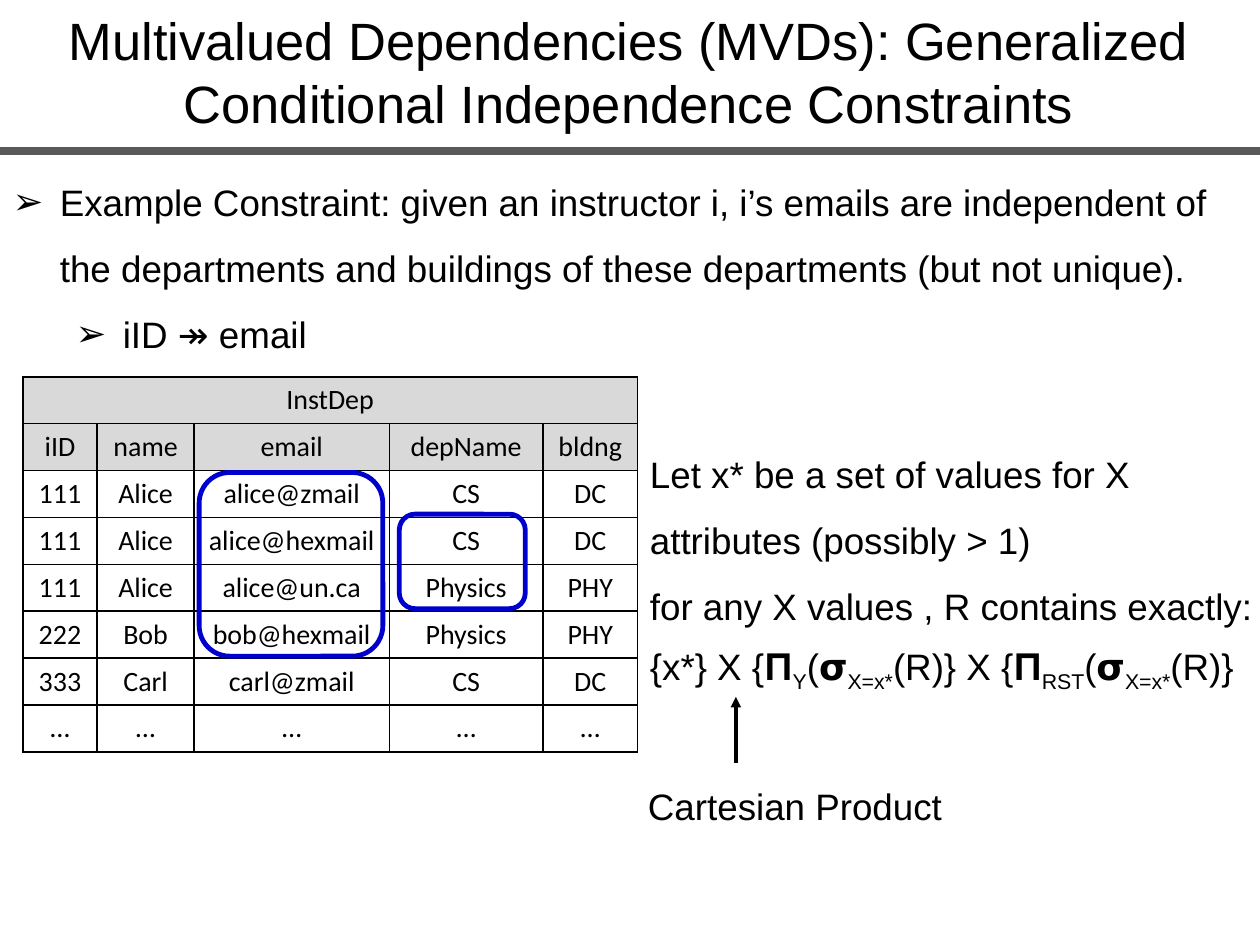
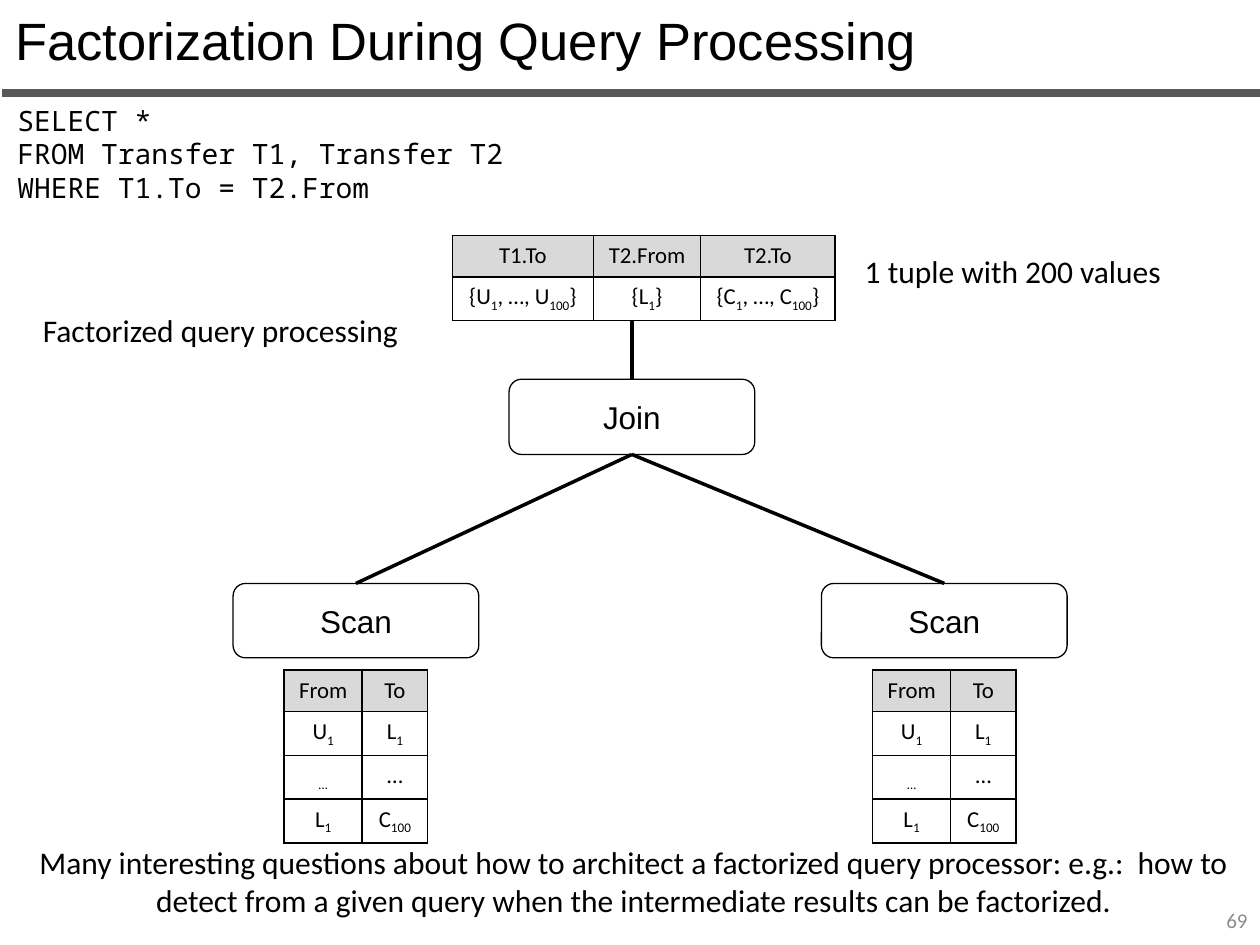
import pptx
import pptx.dml.color
import pptx.enum.shapes
import pptx.enum.text
import pptx.oxml.ns
import pptx.util
from lxml import etree

Pt = pptx.util.Pt
qn = pptx.oxml.ns.qn
ALIGN = pptx.enum.text.PP_ALIGN
ANCHOR = pptx.enum.text.MSO_ANCHOR
FIT = pptx.enum.text.MSO_AUTO_SIZE
ROUND = pptx.enum.shapes.MSO_SHAPE.ROUNDED_RECTANGLE
STRAIGHT = pptx.enum.shapes.MSO_CONNECTOR.STRAIGHT

BLACK, GREY, BAND, BLUE, PALE = "000000", "D9D9D9", "595959", "0000CC", "8C8C8C"
MID = {"alignment": ALIGN.CENTER}
LEFT = {"alignment": ALIGN.LEFT}
TIGHT = {"space_before": Pt(0)}
OPEN = {"line_spacing": Pt(37.8), **TIGHT}
HEAD = {"line_spacing": Pt(36), **TIGHT}
CODE = {"line_spacing": Pt(19.2)}
TITLE = {"name": "Arial", "size": Pt(30)}
BODY = {"name": "Arial", "size": Pt(21)}
LABEL = {"name": "Arial", "size": Pt(18)}
NOTE = {"name": "Calibri", "size": Pt(18)}
GRID = {"name": "Calibri", "size": Pt(16)}
SMALL = {"name": "Calibri", "size": Pt(13)}
MONO = {"name": "Noto Sans Mono", "size": Pt(16)}
PAGE = {"name": "Calibri", "size": Pt(12)}

RULES = [
    "Example Constraint: given an instructor i, i’s emails are independent of "
    "the departments and buildings of these departments (but not unique).",
    "iID ↠ email",
]
DEPS = [
    ["InstDep", "", "", "", ""],
    ["iID", "name", "email", "depName", "bldng"],
    ["111", "Alice", "alice@zmail", "CS", "DC"],
    ["111", "Alice", "alice@hexmail", "CS", "DC"],
    ["111", "Alice", "alice@un.ca", "Physics", "PHY"],
    ["222", "Bob", "bob@hexmail", "Physics", "PHY"],
    ["333", "Carl", "carl@zmail", "CS", "DC"],
    ["…"] * 5,
]
PROOF = [
    "Let x* be a set of values for X attributes (possibly > 1)",
    "for any X values , R contains exactly: "
    "{x*} X {𝚷~Y~(𝞂~X=x*~(R)} X {𝚷~RST~(𝞂~X=x*~(R)}",
]
RINGS = [(113.8, 270, 105, 105), (228.2, 293.8, 72, 54)]
QUERY = ["SELECT *", "FROM Transfer T1, Transfer T2", "WHERE T1.To = T2.From"]
TUPLE = [
    ["T1.To", "T2.From", "T2.To"],
    ["{U~1~, …, U~100~}", "{L~1~}", "{C~1~, …, C~100~}"],
]
SCAN = [["From", "To"], ["U~1~", "L~1~"], ["~…~", "…"], ["L~1~", "C~100~"]]
NOTES = [
    ("Factorized query processing", (3.6, 174.2, 244.8, 28.8)),
    ("1 tuple with 200 values", (469.4, 140.4, 218.9, 28.8)),
    ("Many interesting questions about how to architect a factorized query "
     "processor: e.g.:  how to detect from a given query when the intermediate "
     "results can be factorized.", (10.1, 478.1, 704.2, 51.1)),
]
JOIN = (290.9, 216.7, 140.4, 43)
SCANS = [(133.2, 333.4, 140.4, 42.5), (469.4, 333.4, 140.4, 42.5)]


def tint(text):
    return pptx.dml.color.RGBColor.from_string(text)


def apply(thing, *looks):
    for look in looks:
        for key, value in look.items():
            setattr(thing, key, value)


def write(frame, lines, font, para, color=BLACK):
    """Fill a frame with lines, where ~ marks start and end a subscript."""
    frame.word_wrap = True
    for i, line in enumerate(lines):
        par = frame.add_paragraph() if i else frame.paragraphs[0]
        apply(par, para)
        for j, part in enumerate(line.split("~")):
            if not part:
                continue
            run = par.add_run()
            run.text = part
            apply(run.font, font)
            run.font.color.rgb = tint(color)
            if j % 2:
                run.font._element.set("baseline", "-25000")


def place(shape, box):
    sides = ("left", "top", "width", "height")
    apply(shape, dict(zip(sides, map(Pt, box))))


def label(slide, box, lines, font, para, color=BLACK):
    frame = slide.shapes.add_textbox(*map(Pt, box)).text_frame
    write(frame, lines, font, para, color)
    return frame


def head(slide, text, box, para, rule):
    title = slide.shapes.title
    place(title, box)
    apply(title.text_frame, {"vertical_anchor": ANCHOR.TOP,
                             "auto_size": FIT.NONE, "margin_top": Pt(4.7)})
    write(title.text_frame, [text], TITLE, {**HEAD, **para})
    x, y = rule
    link(slide, (x, y), (x + 720, y), BAND, 4.5)


def link(slide, start, end, color=BLACK, width=2, arrow=False):
    line = slide.shapes.add_connector(STRAIGHT, *map(Pt, start + end))
    line.line.color.rgb = tint(color)
    line.line.width = Pt(width)
    props = line._element.spPr
    if arrow:
        etree.SubElement(props.find(qn("a:ln")), qn("a:tailEnd"), type="triangle")
    etree.SubElement(props, qn("a:effectLst"))


def ring(slide, box, color, width):
    shape = slide.shapes.add_shape(ROUND, *map(Pt, box))
    shape.shadow.inherit = False
    shape.fill.background()
    shape.line.color.rgb = tint(color)
    shape.line.width = Pt(width)
    return shape


def node(slide, box, text):
    frame = ring(slide, box, BLACK, 0.75).text_frame
    frame.vertical_anchor = ANCHOR.MIDDLE
    write(frame, [text], LABEL, MID)


def edge(cell):
    props = cell._tc.get_or_add_tcPr()
    for side in ("a:lnL", "a:lnR", "a:lnT", "a:lnB"):
        line = etree.SubElement(props, qn(side), w=str(Pt(1)))
        fill = etree.SubElement(line, qn("a:solidFill"))
        etree.SubElement(fill, qn("a:srgbClr"), val=BLACK)


def grid(slide, spot, rows, cols, high, font, top=1):
    box = (*spot, sum(cols), high * len(rows))
    table = slide.shapes.add_table(len(rows), len(cols), *map(Pt, box)).table
    apply(table, {"first_row": False, "horz_banding": False})
    for col, wide in zip(table.columns, cols):
        col.width = Pt(wide)
    for r, row in enumerate(rows):
        table.rows[r].height = Pt(high)
        for c, text in enumerate(row):
            cell = table.cell(r, c)
            edge(cell)
            if r < top:
                cell.fill.solid()
                cell.fill.fore_color.rgb = tint(GREY)
            else:
                cell.fill.background()
            write(cell.text_frame, [text], font, MID)
    return table


def bullet(par, left):
    props = par._p.get_or_add_pPr()
    props.set("marL", str(Pt(left)))
    props.set("indent", str(Pt(-27)))
    etree.SubElement(props, qn("a:buFont"), typeface="Arial")
    etree.SubElement(props, qn("a:buChar"), char="➢")


def depend(deck):
    slide = deck.slides.add_slide(deck.slide_layouts[1])
    head(slide, "Multivalued Dependencies (MVDs): Generalized Conditional "
         "Independence Constraints", (0, 0, 718.6, 80), MID, (0, 86.4))
    table = grid(slide, (13, 215.3), DEPS, (42.5, 55.4, 111.6, 87.8, 54),
                 26.4, GRID, top=2)
    table.cell(0, 0).merge(table.cell(0, 4))
    body = slide.placeholders[1]
    place(body, (0, 86.4, 720, 117.4))
    body.text_frame.auto_size = FIT.NONE
    write(body.text_frame, RULES, BODY, OPEN)
    for level, par in enumerate(body.text_frame.paragraphs):
        par.level = level
        bullet(par, 27 + 36 * level)
    label(slide, (364.3, 241.9, 370.8, 156.2), PROOF, BODY, OPEN)
    link(slide, (420.5, 436.3), (420.5, 398.2), arrow=True)
    label(slide, (359.3, 432, 190, 41), ["Cartesian Product"], BODY,
          {**OPEN, **MID})
    for box in RINGS:
        ring(slide, box, BLUE, 2.75)


def factor(deck):
    slide = deck.slides.add_slide(deck.slide_layouts[5])
    head(slide, "Factorization During Query Processing",
         (1.4, 0, 718.6, 44), LEFT, (1.4, 53.3))
    page = label(slide, (552.2, 511.2, 167.8, 28.8), ["69"], PAGE,
                 {"alignment": ALIGN.RIGHT}, PALE)
    page.vertical_anchor = ANCHOR.MIDDLE
    label(slide, (2.9, 55.4, 358.6, 65.5), QUERY, MONO, CODE)
    grid(slide, (258.5, 134.6), TUPLE, (80.6, 61.2, 77), 23.75, SMALL)
    for text, box in NOTES:
        label(slide, box, [text], NOTE, MID)
    node(slide, JOIN, "Join")
    x, y, wide, high = JOIN
    mid = x + wide / 2
    for box in SCANS:
        node(slide, box, "Scan")
        hub = box[0] + box[2] / 2
        grid(slide, (hub - 41, 383), SCAN, (44.6, 37.4), 23.75, SMALL)
        link(slide, (hub, box[1]), (mid, y + high))
    link(slide, (mid, y), (mid, 182.9))


def main():
    deck = pptx.Presentation()
    apply(deck, {"slide_width": Pt(720), "slide_height": Pt(540)})
    depend(deck)
    factor(deck)
    deck.save("out.pptx")


if __name__ == "__main__":
    main()
